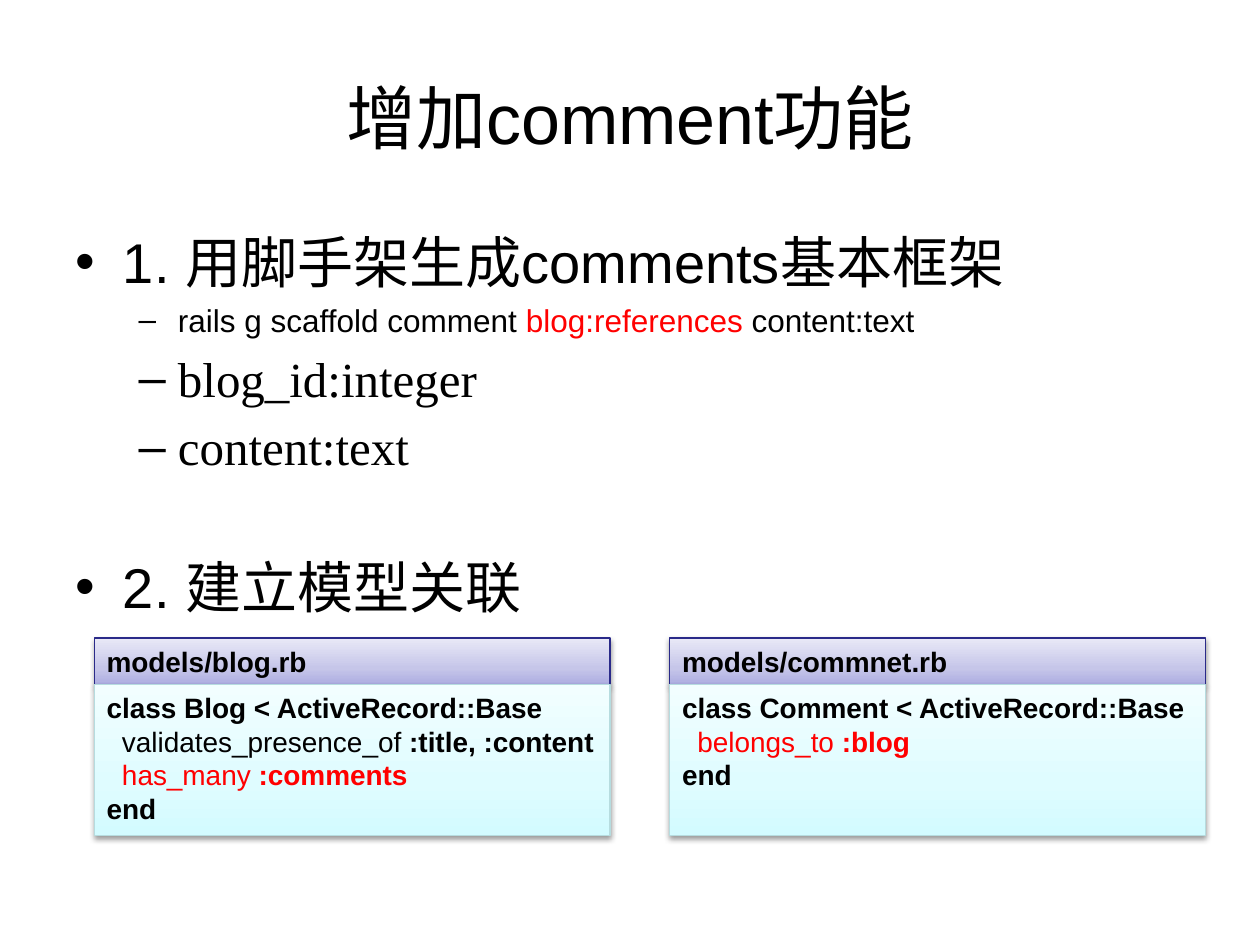
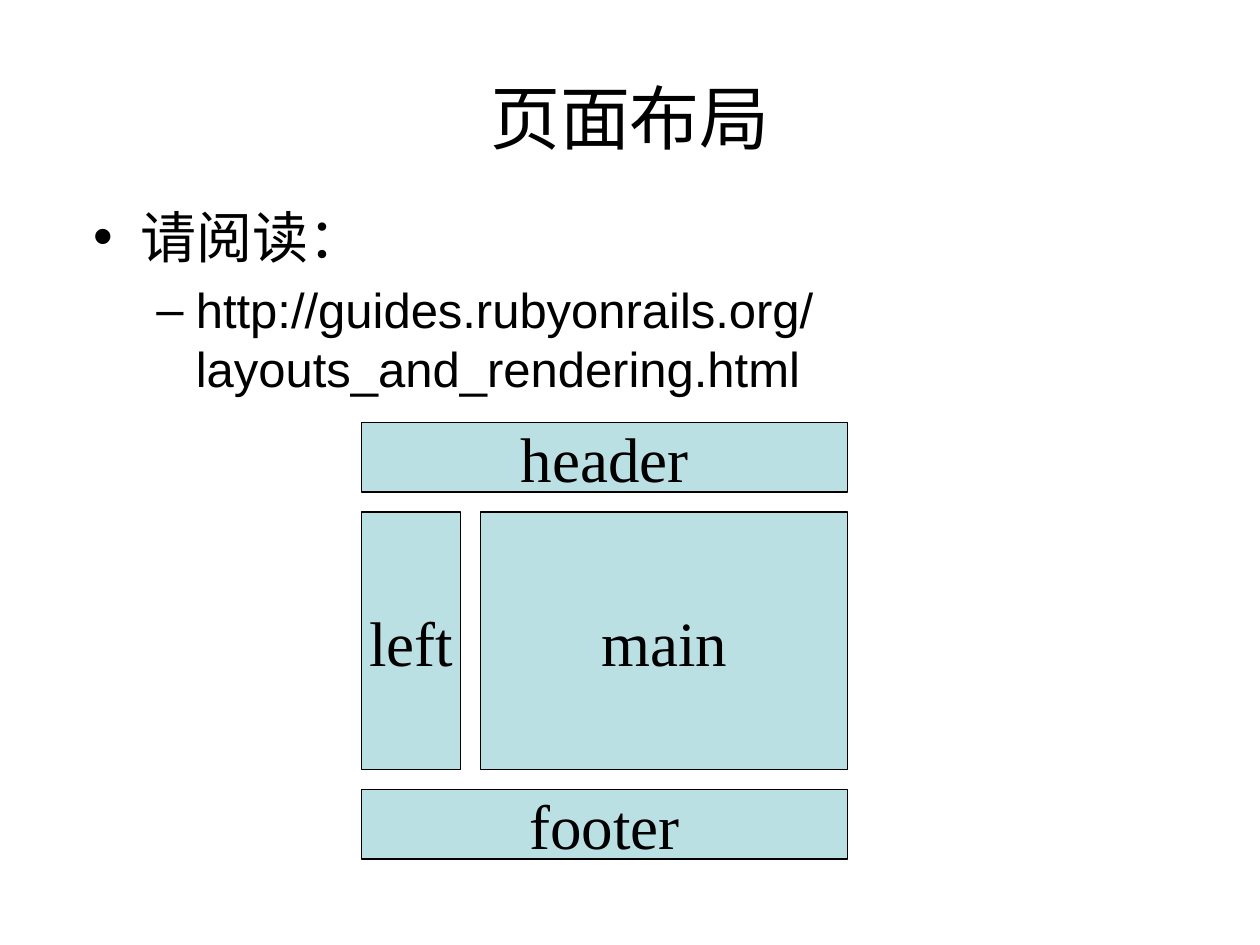
from copy import deepcopy

from lxml import etree
from pptx import Presentation
from pptx import util as u
from pptx.dml import color
from pptx.enum import shapes, text
from pptx.oxml import ns

BLACK = color.RGBColor(0x00, 0x00, 0x00)
RED = color.RGBColor(0xFF, 0x00, 0x00)
NAVY = color.RGBColor(0x2A, 0x2A, 0x89)
TEAL = color.RGBColor(0xB6, 0xDC, 0xDF)
PALE_TEAL = color.RGBColor(0xBB, 0xE0, 0xE3)
LILACS = [color.RGBColor.from_string(c) for c in ("ADADE1", "C6C6E9", "E9E9F7")]
AQUAS = [color.RGBColor.from_string(c) for c in ("D3FBFF", "DFFCFF", "F2FEFF")]
SANS, SERIF = "Arial", "Times New Roman"


def write(frame, lines, size, name):
    """Fill a frame; each line is a list of (text, colour, bold) spans."""
    for number, spans in enumerate(lines):
        para = frame.paragraphs[0] if number == 0 else frame.add_paragraph()
        para.font.size, para.font.name = u.Pt(size), name
        for words, colour, bold in spans:
            span = para.add_run()
            span.text = words
            span.font.color.rgb, span.font.bold = colour, bold


def add_box(parent, left, top, width, height, line):
    """Add a thin-lined rectangle, measured in centimetres, without shadow."""
    box = parent.add_shape(shapes.MSO_SHAPE.RECTANGLE,
                           *(u.Cm(n) for n in (left, top, width, height)))
    box.shadow.inherit = False
    box.line.color.rgb, box.line.width = line, u.Pt(0.75)
    box.text_frame.word_wrap = False
    return box


deck = Presentation()
deck.slide_width, deck.slide_height = u.Cm(25.4), u.Cm(19.05)

# Titles and lists: (level, size, font, spans) for each list line
page_texts = [
    ("增加comment功能", (1.27, 4.45, 22.86, 7.95), [
        (0, 32, SANS, [("1. 用脚手架生成comments基本框架", BLACK)]),
        (1, 18, SANS, [("rails g scaffold comment ", BLACK),
                       ("blog:references ", RED), ("content:text", BLACK)]),
        (1, 28, SERIF, [("blog_id:integer", BLACK)]),
        (1, 28, SERIF, [("content:text", BLACK)]),
        (0, 32, SANS, [("2. 建立模型关联", BLACK)]),
    ]),
    ("页面布局", (1.63, 3.96, 23.77, 13.23), [
        (0, 32, SANS, [("请阅读：", BLACK)]),
        (1, 28, SANS, [("http://guides.rubyonrails.org/layouts_and_rendering.html", BLACK)]),
    ]),
]
for heading, place, items in page_texts:
    page = deck.slides.add_slide(deck.slide_layouts[1])
    title, body = page.placeholders
    title.left, title.top, title.width, title.height = (
        u.Cm(n) for n in (1.27, 0.76, 22.86, 3.18))
    write(title.text_frame, [[(heading, BLACK, False)]], 40, SANS)
    body.left, body.top, body.width, body.height = (u.Cm(n) for n in place)
    for holder in (title, body):
        holder.text_frame.auto_size = text.MSO_AUTO_SIZE.NONE
    for number, (level, size, name, spans) in enumerate(items):
        para = body.text_frame.paragraphs[0] if number == 0 else body.text_frame.add_paragraph()
        para.level = level
        para.font.size, para.font.name = u.Pt(size), name
        for words, colour in spans:
            span = para.add_run()
            span.text = words
            span.font.color.rgb = colour
        if level == 0 and number > 0:
            para.space_before = u.Pt(44)

models_page, layout_page = deck.slides

# Code cards: file name above, class body below
code_cards = [
    (1.9, 10.4, "models/blog.rb", [
        [("class Blog < ActiveRecord::Base", BLACK, True)],
        [("validates_presence_of", BLACK, False), (" :title, :content", BLACK, True)],
        [("has_many", RED, False), (" :comments", RED, True)],
        [("end", BLACK, True)],
    ]),
    (13.5, 10.8, "models/commnet.rb", [
        [("class Comment < ActiveRecord::Base", BLACK, True)],
        [("belongs_to", RED, False), (" :blog", RED, True)],
        [("end", BLACK, True)],
    ]),
]
for left, width, file_name, code in code_cards:
    card = models_page.shapes.add_group_shape()
    parts = [(12.86, 0.94, NAVY, LILACS, [[(file_name, BLACK, True)]]),
             (13.8, 3.04, TEAL, AQUAS, code)]
    for top, height, line, tints, lines in parts:
        box = add_box(card.shapes, left, top, width, height, line)
        box.text_frame.vertical_anchor = text.MSO_ANCHOR.TOP
        write(box.text_frame, lines, 16, SANS)
        for para in box.text_frame.paragraphs:
            para.alignment = text.PP_ALIGN.LEFT
        for para in box.text_frame.paragraphs[1:-1]:
            para._p.get_or_add_pPr().set("marL", str(u.Cm(0.31)))

        # Three-stop gradient, dark at the bottom
        box.fill.gradient()
        box.fill.gradient_angle = 90
        stops = box._element.spPr.find(".//" + ns.qn("a:gsLst"))
        stops.insert(1, deepcopy(stops[0]))
        for stop, tint, position in zip(box.fill.gradient_stops, tints, (0, 0.35, 1)):
            stop.color.rgb, stop.position = tint, position

        # Soft shadow straight below
        effects = box._element.spPr.find(ns.qn("a:effectLst"))
        shadow = etree.SubElement(effects, ns.qn("a:outerShdw"), blurRad="40000",
                                  dist="20000", dir="5400000", rotWithShape="0")
        black = etree.SubElement(shadow, ns.qn("a:srgbClr"), val="000000")
        etree.SubElement(black, ns.qn("a:alpha"), val="38000")

# Page layout sketch
LEFT, TOP, WIDTH, GAP = 7.29, 8.52, 9.8, 0.4
BAR, MIDDLE, SIDE = 1.4, 5.2, 2.0
middle_top = TOP + BAR + GAP
main_left = LEFT + SIDE + GAP
regions = [
    ("header", LEFT, TOP, WIDTH, BAR),
    ("footer", LEFT, middle_top + MIDDLE + GAP, WIDTH, BAR),
    ("left", LEFT, middle_top, SIDE, MIDDLE),
    ("main", main_left, middle_top, WIDTH - SIDE - GAP, MIDDLE),
]
for label, *place in regions:
    region = add_box(layout_page.shapes, *place, BLACK)
    region.fill.solid()
    region.fill.fore_color.rgb = PALE_TEAL
    region.text_frame.vertical_anchor = text.MSO_ANCHOR.MIDDLE
    write(region.text_frame, [[(label, BLACK, False)]], 36, SERIF)
    region.text_frame.paragraphs[0].alignment = text.PP_ALIGN.CENTER

deck.save("out.pptx")
